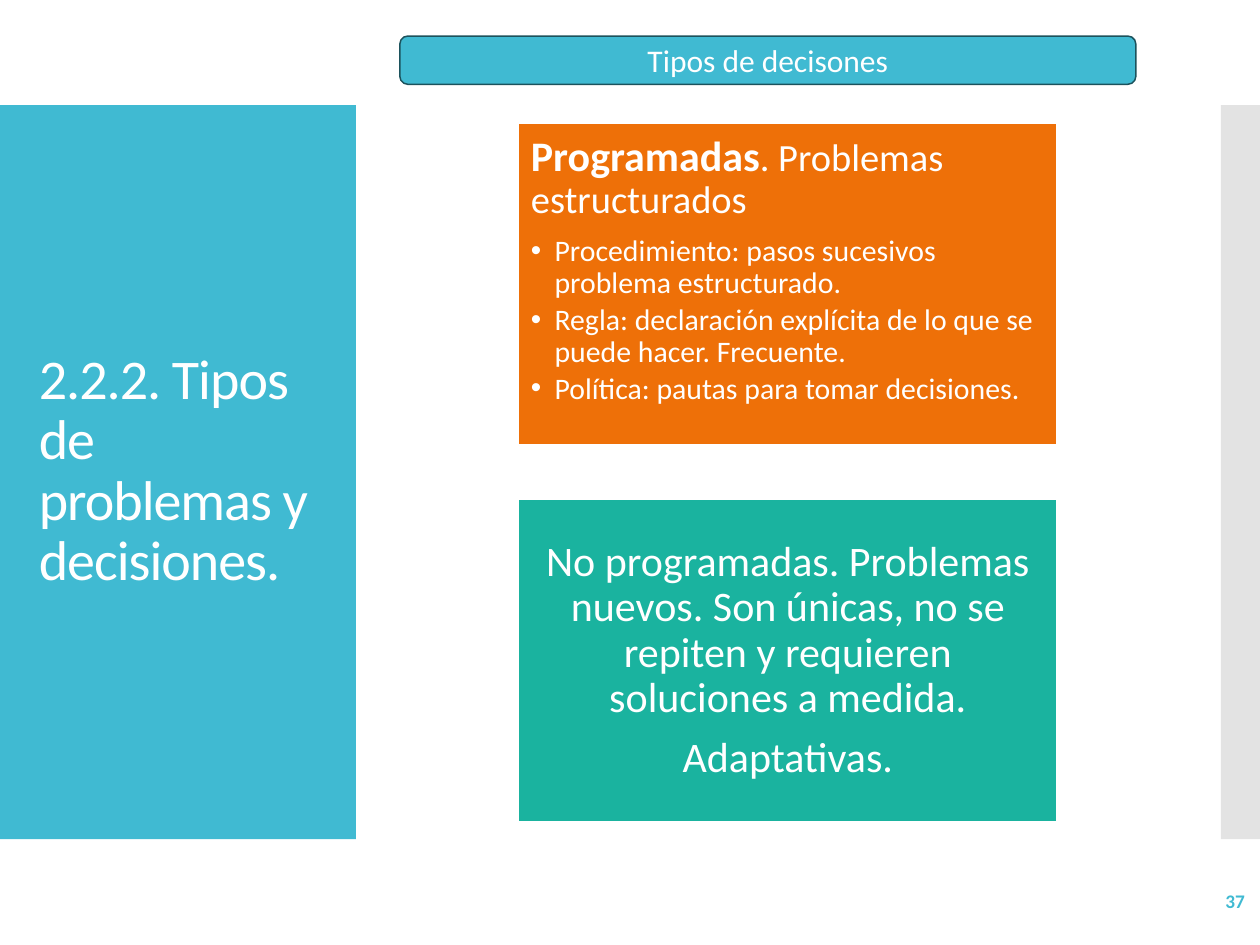
from lxml.etree import SubElement
from pptx import Presentation
from pptx.dml.color import RGBColor
from pptx.enum.shapes import MSO_SHAPE as Shape
from pptx.enum.text import MSO_ANCHOR as Anchor, MSO_AUTO_SIZE as AutoSize, PP_ALIGN as Align
from pptx.oxml.ns import qn
from pptx.util import Pt

# Content
TITLE = "2.2.2. Tipos de problemas y decisiones."
BANNER = "Tipos de decisones"
PROGRAMMED_HEADING = ("Programadas", ". Problemas estructurados")
PROGRAMMED_ITEMS = [
    "Procedimiento: pasos sucesivos problema estructurado.",
    "Regla: declaración explícita de lo que se puede hacer. Frecuente.",
    "Política: pautas para tomar decisiones.",
]
UNPROGRAMMED = [
    "No programadas. Problemas nuevos. Son únicas, no se repiten y requieren soluciones a medida.",
    "Adaptativas.",
]
PAGE_NUMBER = "37"

THEME = {
    "font": "Calibri",
    "white": "FFFFFF", "blue": "40BAD2", "navy": "1C525C",
    "orange": "EE7008", "green": "1AB39F", "grey": "C8C8C8",
    "title": 32, "lead": 24, "heading": 22, "banner": 18, "item": 17, "number": 11,
    "line": 0.85,
}

# Layout, in points
PAGE_WIDTH, PAGE_HEIGHT = 720, 540
BAND_TOP, BAND_HEIGHT = 60, 419.5
SIDEBAR_WIDTH, EDGE_LEFT = 203.4, 697.6
PANEL_LEFT, PANEL_TOP, PANEL_WIDTH, PANEL_HEIGHT, PANEL_GAP = 296.4, 70.2, 307.6, 184.2, 31.2
PANEL_INSET = 7
BULLET_INDENT = 13.5


def color(name):
    return RGBColor.from_string(THEME[name])


def place(shape, left, top, width, height):
    shape.left, shape.top, shape.width, shape.height = map(Pt, (left, top, width, height))


def paint(shape, fill, line=None):
    shape.fill.solid()
    shape.fill.fore_color.rgb = color(fill)
    if line:
        shape.line.color.rgb = color(line)
        shape.line.width = Pt(THEME["line"])
    else:
        shape.line.fill.background()


def add_block(page, kind, bounds, fill, line=None):
    shape = page.shapes.add_shape(kind, *map(Pt, bounds))
    shape.shadow.inherit = False
    paint(shape, fill, line)
    return shape


def set_frame(shape, anchor=Anchor.MIDDLE, inset=None):
    frame = shape.text_frame
    frame.word_wrap = True
    frame.auto_size = AutoSize.NONE
    frame.vertical_anchor = anchor
    if inset is not None:
        frame.margin_left = frame.margin_right = Pt(inset)
        frame.margin_top = frame.margin_bottom = Pt(inset)
    return frame


def add_span(para, text, size, ink="white", bold=False, tracking=None):
    span = para.add_run()
    span.text = text
    span.font.name = THEME["font"]
    span.font.size = Pt(THEME[size])
    span.font.bold = bold
    span.font.color.rgb = color(ink)
    if tracking:
        span.font._element.set("spc", str(int(tracking * 100)))


def add_para(frame, text="", size="item", align=Align.LEFT, spacing=1.0, after=0,
             bullet=None, **span_format):
    first = frame.paragraphs[0]
    para = frame.add_paragraph() if first.runs else first
    para.alignment = align
    para.line_spacing = spacing
    para.space_before = Pt(0)
    para.space_after = Pt(after)
    properties = para._p.get_or_add_pPr()
    indent = Pt(BULLET_INDENT) if bullet else 0
    properties.set("marL", str(indent))
    properties.set("indent", str(-indent))
    if bullet:
        SubElement(properties, qn("a:buFont")).set("typeface", "Arial")
        SubElement(properties, qn("a:buChar")).set("char", bullet)
    else:
        SubElement(properties, qn("a:buNone"))
    if text:
        add_span(para, text, size, **span_format)
    return para


def main():
    deck = Presentation()
    deck.slide_width, deck.slide_height = Pt(PAGE_WIDTH), Pt(PAGE_HEIGHT)
    page = deck.slides.add_slide(deck.slide_layouts[1])
    title, body = page.placeholders

    # Side bands, behind the title
    sidebar = add_block(page, Shape.RECTANGLE, (0, BAND_TOP, SIDEBAR_WIDTH, BAND_HEIGHT), "blue")
    edge = add_block(page, Shape.RECTANGLE,
                     (EDGE_LEFT, BAND_TOP, PAGE_WIDTH - EDGE_LEFT, BAND_HEIGHT), "grey")
    edge_color = edge.element.spPr.find(qn("a:solidFill"))[0]
    SubElement(edge_color, qn("a:alpha")).set("val", "50000")
    for band in (sidebar, edge):
        title.element.addprevious(band.element)

    # Title
    place(title, 15, 88.6, 174.2, 362.2)
    add_para(set_frame(title), TITLE, "title", spacing=0.9, tracking=-0.6)

    # Programmed decisions
    place(body, PANEL_LEFT, PANEL_TOP, PANEL_WIDTH, PANEL_HEIGHT)
    paint(body, "orange", "white")
    frame = set_frame(body, Anchor.TOP, PANEL_INSET)
    heading = add_para(frame, spacing=0.9, after=8)
    name, detail = PROGRAMMED_HEADING
    add_span(heading, name, "lead", bold=True)
    add_span(heading, detail, "heading")
    for item in PROGRAMMED_ITEMS:
        add_para(frame, item, "item", spacing=0.9, after=2.5, bullet="•").level = 1

    # Unprogrammed decisions
    second_top = PANEL_TOP + PANEL_HEIGHT + PANEL_GAP
    panel = add_block(page, Shape.RECTANGLE,
                      (PANEL_LEFT, second_top, PANEL_WIDTH, PANEL_HEIGHT), "green", "white")
    frame = set_frame(panel, inset=PANEL_INSET)
    for text in UNPROGRAMMED:
        add_para(frame, text, "lead", Align.CENTER, spacing=0.9, after=8.4)

    # Banner
    banner = add_block(page, Shape.ROUNDED_RECTANGLE, (228.5, 20.6, 420.6, 27.6), "blue", "navy")
    add_para(set_frame(banner), BANNER, "banner", Align.CENTER)

    # Page number
    number = page.shapes.add_textbox(*map(Pt, (627.8, 500.4, 90.7, 28.8)))
    add_para(set_frame(number), PAGE_NUMBER, "number", Align.RIGHT, ink="blue", bold=True)

    deck.save("out.pptx")


if __name__ == "__main__":
    main()
